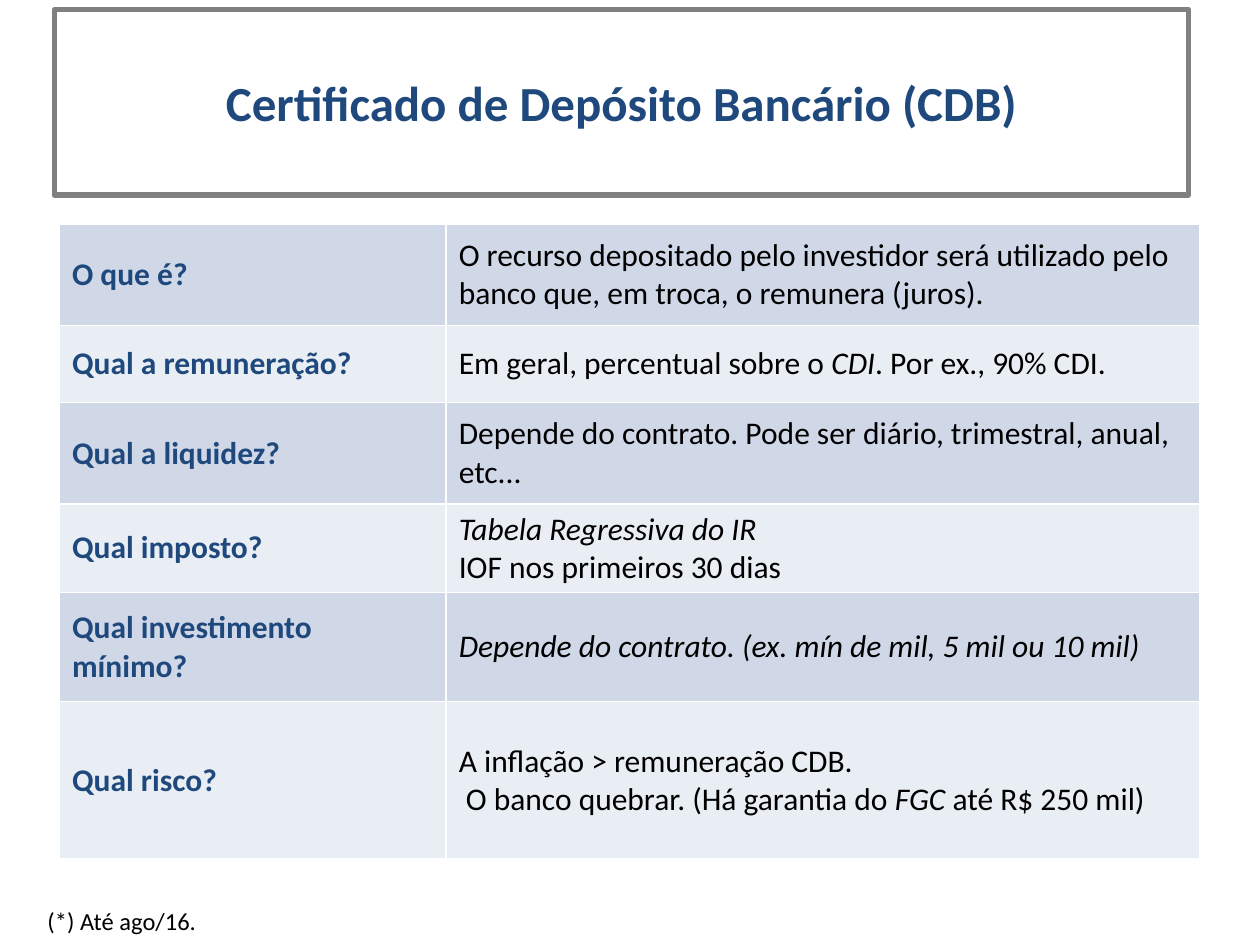
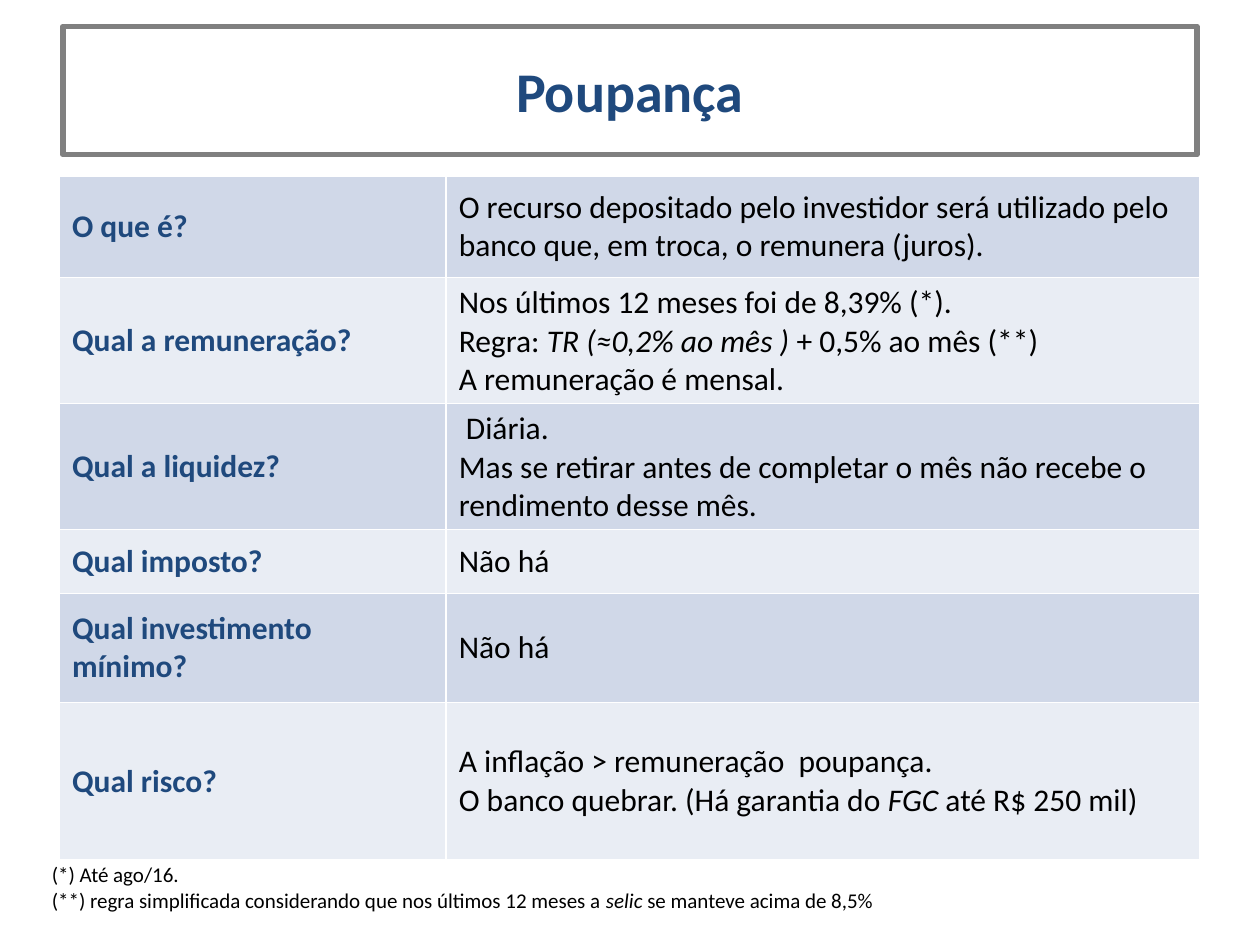
import pptx
import pptx.util
import pptx.dml.color
import pptx.enum.shapes
import pptx.enum.text
from dataclasses import dataclass
from lxml import etree
from pptx.oxml.ns import qn

Pt = pptx.util.Pt
Anchor = pptx.enum.text.MSO_ANCHOR
Align = pptx.enum.text.PP_ALIGN


def rgb(code):
    return pptx.dml.color.RGBColor.from_string(code)


@dataclass(frozen=True)
class Theme:
    font: str = "Calibri"
    heading: str = "1F497D"
    body: str = "000000"
    frame: str = "808080"
    border: str = "FFFFFF"
    bands: tuple = ("D0D8E8", "E9EDF4")
    cell_size: int = 18
    frame_width: int = 3
    border_width: int = 1


THEME = Theme()


def write_text(text_frame, text, size, color=THEME.body, bold=False, align=Align.LEFT):
    """Write one paragraph per line; parts between underscores are italic."""
    text_frame.word_wrap = True
    for line_number, line in enumerate(text.split("\n")):
        paragraph = text_frame.paragraphs[0] if line_number == 0 else text_frame.add_paragraph()
        paragraph.alignment = align
        for part_number, part in enumerate(line.split("_")):
            if part:
                run = paragraph.add_run()
                run.text = part
                run.font.name = THEME.font
                run.font.size = Pt(size)
                run.font.bold = bold
                run.font.italic = part_number % 2 == 1
                run.font.color.rgb = rgb(color)


class Deck:
    def __init__(self, theme):
        self.theme = theme
        self.presentation = pptx.Presentation()
        self.presentation.slide_width = Pt(720)
        self.presentation.slide_height = Pt(540)
        self.slide = None

    def add_slide(self):
        self.slide = self.presentation.slides.add_slide(self.presentation.slide_layouts[6])

    def add_title(self, text, box, size):
        shape = self.slide.shapes.add_shape(
            pptx.enum.shapes.MSO_SHAPE.RECTANGLE, *map(Pt, box))
        shape.shadow.inherit = False
        shape.fill.background()
        shape.line.color.rgb = rgb(self.theme.frame)
        shape.line.width = Pt(self.theme.frame_width)
        shape.text_frame.vertical_anchor = Anchor.MIDDLE
        write_text(shape.text_frame, text, size, color=self.theme.heading,
                   bold=True, align=Align.CENTER)

    def add_footnote(self, text, box, size):
        shape = self.slide.shapes.add_textbox(*map(Pt, box))
        write_text(shape.text_frame, text, size)

    def add_table(self, rows, left, top, column_widths, row_heights):
        table = self.slide.shapes.add_table(
            len(rows), len(column_widths), Pt(left), Pt(top),
            Pt(sum(column_widths)), Pt(sum(row_heights))).table
        table.first_row = False
        table.horz_banding = False
        for column, width in zip(table.columns, column_widths):
            column.width = Pt(width)
        for row_number, (question, answer) in enumerate(rows):
            table.rows[row_number].height = Pt(row_heights[row_number])
            question_cell, answer_cell = table.rows[row_number].cells
            for cell in (question_cell, answer_cell):
                cell.vertical_anchor = Anchor.MIDDLE
                self.add_borders(cell)
                cell.fill.solid()
                cell.fill.fore_color.rgb = rgb(self.theme.bands[row_number % 2])
            write_text(question_cell.text_frame, question, self.theme.cell_size,
                       color=self.theme.heading, bold=True)
            write_text(answer_cell.text_frame, answer, self.theme.cell_size)

    def add_borders(self, cell):
        properties = cell._tc.get_or_add_tcPr()
        for side in ("a:lnL", "a:lnR", "a:lnT", "a:lnB"):
            line = etree.SubElement(properties, qn(side), w=str(Pt(self.theme.border_width)))
            fill = etree.SubElement(line, qn("a:solidFill"))
            etree.SubElement(fill, qn("a:srgbClr"), val=self.theme.border)


# Shared table content and geometry
QUESTIONS = ("O que é?", "Qual a remuneração?", "Qual a liquidez?", "Qual imposto?",
             "Qual investimento mínimo?", "Qual risco?")
DEFINITION = ("O recurso depositado pelo investidor será utilizado pelo banco que, "
              "em troca, o remunera (juros).")
BANK_RISK = "O banco quebrar. (Há garantia do _FGC_ até R$ 250 mil)"
TABLE_LEFT = 34
COLUMN_WIDTHS = (221, 430.5)

PRODUCTS = (
    dict(
        title="Certificado de Depósito Bancário (CDB)",
        title_box=(31, 5.5, 648, 106), title_size=28,
        table_top=128, row_heights=(58, 44, 58, 50.5, 62.5, 90),
        answers=(
            DEFINITION,
            "Em geral, percentual sobre o _CDI_. Por ex., 90% CDI.",
            "Depende do contrato. Pode ser diário, trimestral, anual, etc...",
            "_Tabela Regressiva do IR_\nIOF nos primeiros 30 dias",
            "_Depende do contrato. (ex. mín de mil, 5 mil ou 10 mil)_",
            "A inflação > remuneração CDB.\n " + BANK_RISK,
        ),
        footnote="(*) Até ago/16.",
        footnote_box=(20, 514, 660, 24), footnote_size=14,
    ),
    dict(
        title="Poupança",
        title_box=(36, 15, 648, 73.5), title_size=32,
        table_top=100.5, row_heights=(58, 72, 72, 36.5, 62.5, 90),
        answers=(
            DEFINITION,
            "Nos últimos 12 meses foi de 8,39% (*).\n"
            "Regra: _TR (≈0,2% ao mês )_ + 0,5% ao mês (**)\n"
            "A remuneração é mensal.",
            " Diária.\nMas se retirar antes de completar o mês não recebe o "
            "rendimento desse mês.",
            "Não há",
            "Não há",
            "A inflação > remuneração  poupança.\n" + BANK_RISK,
        ),
        footnote="(*) Até ago/16.\n(**) regra simplificada considerando que nos últimos "
                 "12 meses a _selic_ se manteve acima de 8,5%",
        footnote_box=(22.5, 489, 660, 36), footnote_size=12,
    ),
)


def main():
    deck = Deck(THEME)
    # One slide per investment product
    for product in PRODUCTS:
        deck.add_slide()
        deck.add_title(product["title"], product["title_box"], product["title_size"])
        deck.add_footnote(product["footnote"], product["footnote_box"],
                          product["footnote_size"])
        deck.add_table(list(zip(QUESTIONS, product["answers"])), TABLE_LEFT,
                       product["table_top"], COLUMN_WIDTHS, product["row_heights"])
    deck.presentation.save("out.pptx")


if __name__ == "__main__":
    main()
